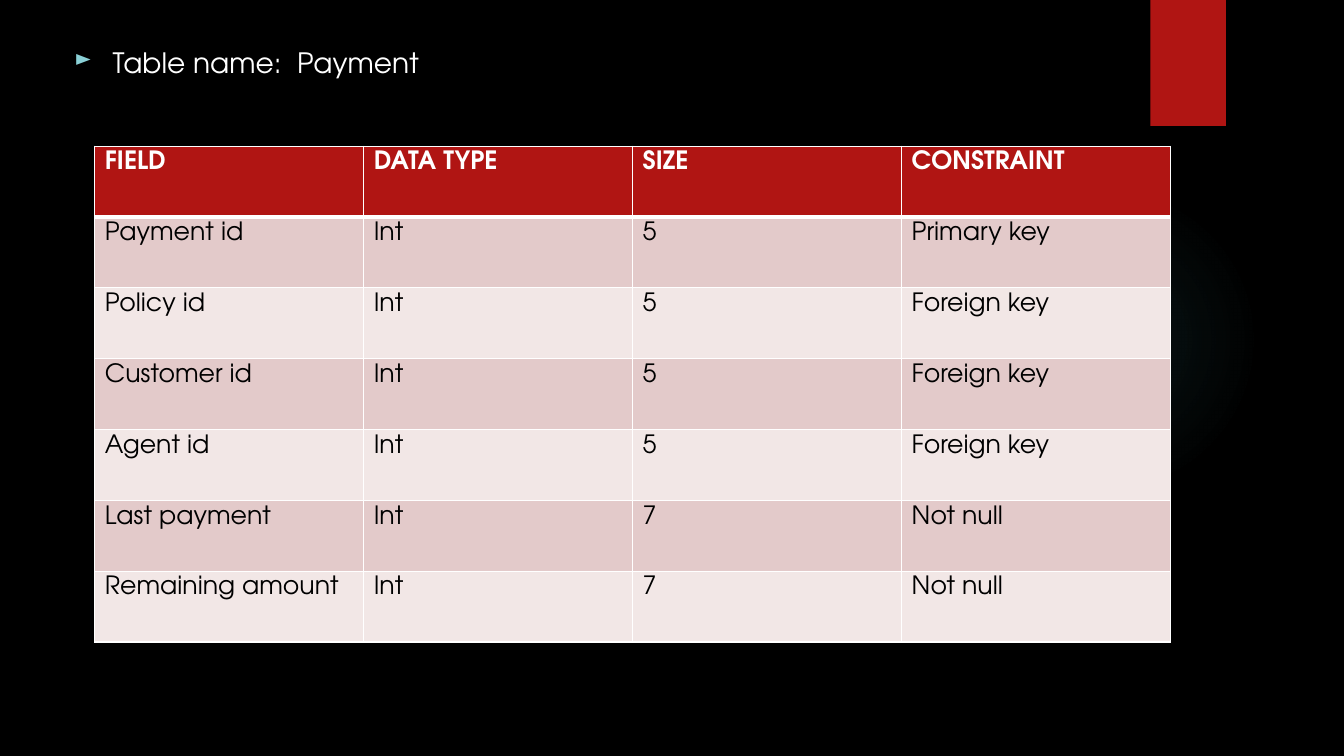
from lxml.etree import SubElement
from pptx import Presentation
from pptx.dml.color import RGBColor
from pptx.enum.shapes import MSO_SHAPE
from pptx.oxml import parse_xml
from pptx.oxml.ns import nsdecls, qn
from pptx.util import Inches, Pt

FIELDS = [
    ("FIELD", "DATA TYPE", "SIZE", "CONSTRAINT"),
    ("Payment id", "Int", "5", "Primary key"),
    ("Policy id", "Int", "5", "Foreign key"),
    ("Customer id", "Int", "5", "Foreign key"),
    ("Agent id", "Int", "5", "Foreign key"),
    ("Last payment", "Int", "7", "Not null"),
    ("Remaining amount", "Int", "7", "Not null"),
]


def color(hex_text):
    return RGBColor.from_string(hex_text)


class SlideBuilder:
    font = "TeX Gyre Adventor"
    white, black, red = "FFFFFF", "000000", "B01513"
    bands = ("F2E7E6", "E3CACA")
    glow_color, bullet_color = "50B9C1", "8AD0D6"

    def __init__(self, deck):
        self.page = deck.slides.add_slide(deck.slide_layouts[6])
        fill = self.page.background.fill
        fill.solid()
        fill.fore_color.rgb = color(self.black)

    def shape(self, kind, left, top, width, height):
        shape = self.page.shapes.add_shape(
            kind, Inches(left), Inches(top), Inches(width), Inches(height))
        shape.shadow.inherit = False
        shape.line.fill.background()
        return shape

    def block(self, left, top, width, height):
        block = self.shape(MSO_SHAPE.RECTANGLE, left, top, width, height)
        block.fill.solid()
        block.fill.fore_color.rgb = color(self.red)

    def glow(self, left, top, size, stops):
        glow = self.shape(MSO_SHAPE.OVAL, left, top, size, size)
        stop_xml = "".join(
            f'<a:gs pos="{place * 1000}"><a:srgbClr val="{self.glow_color}">'
            f'<a:alpha val="{alpha * 1000}"/></a:srgbClr></a:gs>'
            for place, alpha in stops)
        gradient = parse_xml(
            f'<a:gradFill {nsdecls("a")}><a:gsLst>{stop_xml}</a:gsLst>'
            '<a:path path="circle"><a:fillToRect l="50000" t="50000" '
            'r="50000" b="50000"/></a:path></a:gradFill>')
        glow.element.spPr.find(qn("a:prstGeom")).addnext(gradient)

    def style(self, para, size, hex_text, bold=False):
        for span in para.runs:
            span.font.name = self.font
            span.font.size = Pt(size)
            span.font.bold = bold
            span.font.color.rgb = color(hex_text)

    def bullet_text(self, text, left, top, width, height):
        box = self.page.shapes.add_textbox(
            Inches(left), Inches(top), Inches(width), Inches(height))
        box.text_frame.word_wrap = True
        para = box.text_frame.paragraphs[0]
        para.text = text
        props = para._p.get_or_add_pPr()
        props.set("marL", str(Inches(0.38)))
        props.set("indent", str(-Inches(0.38)))
        tint = SubElement(props, qn("a:buClr"))
        SubElement(tint, qn("a:srgbClr"), val=self.bullet_color)
        SubElement(props, qn("a:buSzPct"), val="80000")
        SubElement(props, qn("a:buChar"), char="►")
        self.style(para, 20, self.white)

    def borders(self, cell, top, bottom):
        props = cell._tc.get_or_add_tcPr()
        for side, width in zip("LRTB", (1, 1, top, bottom)):
            line = SubElement(props, qn(f"a:ln{side}"), w=str(Pt(width)))
            paint = SubElement(line, qn("a:solidFill"))
            SubElement(paint, qn("a:srgbClr"), val=self.white)

    def table(self, rows, left, top, width, height):
        table = self.page.shapes.add_table(
            len(rows), len(rows[0]), Inches(left), Inches(top),
            Inches(width), Inches(height)).table
        for r, row in enumerate(rows):
            header = r == 0
            for c, text in enumerate(row):
                cell = table.cell(r, c)
                cell.text = text
                # The rule under the header is heavier than the grid
                self.borders(cell, 3 if r == 1 else 1, 3 if header else 1)
                cell.fill.solid()
                cell.fill.fore_color.rgb = color(
                    self.red if header else self.bands[r % 2])
                self.style(cell.text_frame.paragraphs[0], 18,
                           self.white if header else self.black, header)


def main():
    deck = Presentation()
    deck.slide_width, deck.slide_height = Inches(13.33), Inches(7.5)
    slide = SlideBuilder(deck)

    # Backdrop
    slide.glow(9.41, 1.83, 3.08, [(0, 7), (36, 6), (69, 0)])
    slide.block(11.41, 0, 0.75, 1.25)

    # Heading and field list
    slide.bullet_text("Table name:  Payment", 0.64, 0.4, 12.06, 6.6)
    slide.table(FIELDS, 0.94, 1.45, 10.67, 4.92)

    deck.save("out.pptx")


if __name__ == "__main__":
    main()
